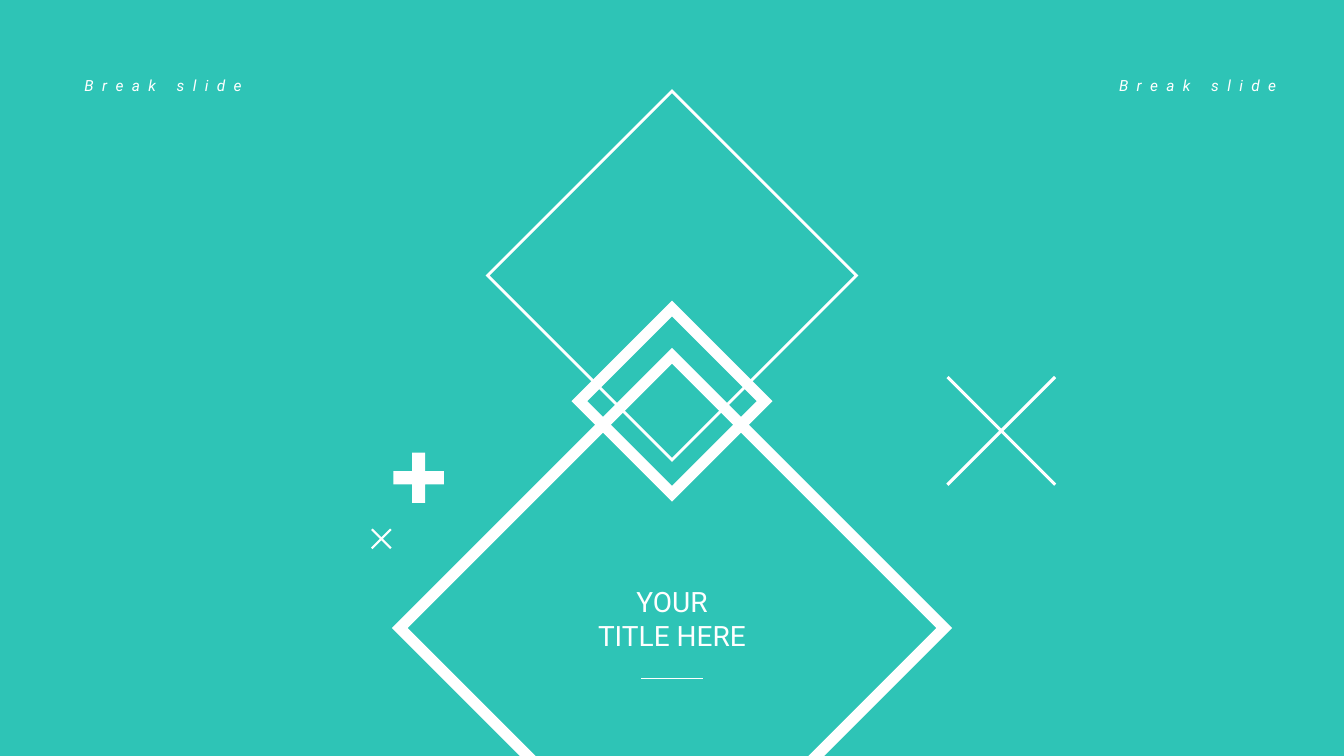
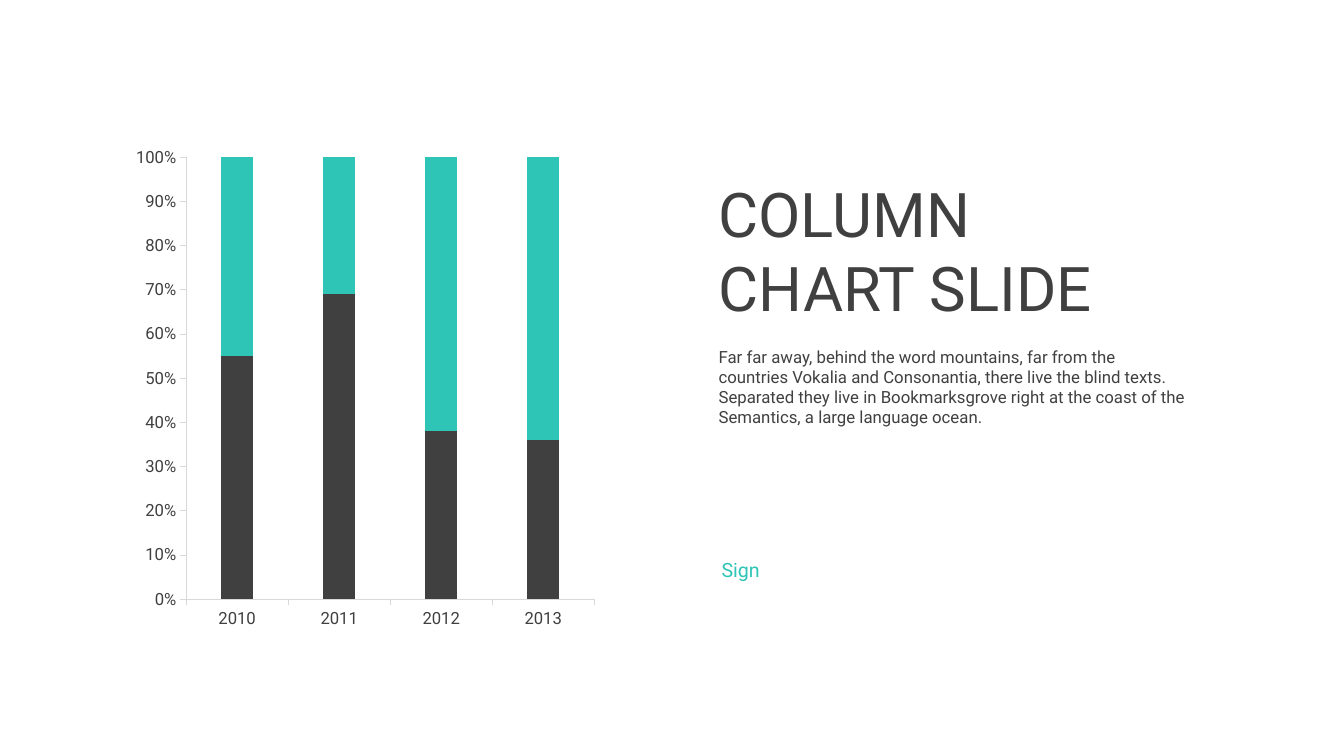
from lxml import etree
from pptx import Presentation
from pptx.chart.data import CategoryChartData
from pptx.dml.color import RGBColor
from pptx.enum.chart import XL_CHART_TYPE, XL_TICK_MARK
from pptx.enum.shapes import MSO_CONNECTOR, MSO_SHAPE
from pptx.enum.text import MSO_AUTO_SIZE, PP_ALIGN
from pptx.oxml import parse_xml
from pptx.oxml.ns import nsdecls, qn
from pptx.util import Inches, Pt

TEAL = RGBColor(0x2E, 0xC4, 0xB6)
WHITE = RGBColor(0xFF, 0xFF, 0xFF)
CHARCOAL = RGBColor(0x40, 0x40, 0x40)
PALE_GREY = RGBColor(0xD9, 0xD9, 0xD9)
FONT = "Roboto"
SLIDE_WIDTH, SLIDE_HEIGHT = Inches(13.333), Inches(7.5)

LEFT, CENTER, RIGHT = PP_ALIGN.LEFT, PP_ALIGN.CENTER, PP_ALIGN.RIGHT
RECTANGLE, CROSS = MSO_SHAPE.RECTANGLE, MSO_SHAPE.CROSS
STRAIGHT = MSO_CONNECTOR.STRAIGHT
FIT_SHAPE = MSO_AUTO_SIZE.SHAPE_TO_FIT_TEXT
STACKED_100 = XL_CHART_TYPE.COLUMN_STACKED_100
TICK_OUTSIDE = XL_TICK_MARK.OUTSIDE

TEXT_COLUMN = 52.73


def across(percent):
    return round(SLIDE_WIDTH * percent / 100)


def down(percent):
    return round(SLIDE_HEIGHT * percent / 100)


def area(left, top, width, height):
    """Turn percentages of the slide into a left, top, width, height frame."""
    return across(left), down(top), across(width), down(height)


def add_page(deck, color):
    page = deck.slides.add_slide(deck.slide_layouts[6])
    page.background.fill.solid()
    page.background.fill.fore_color.rgb = color
    return page


def style_font(font, size, color, italic=None):
    font.name = FONT
    font.size = Pt(size)
    font.color.rgb = color
    font.italic = italic


def add_text(page, frame, lines, size, color, align=LEFT, wrap=False,
             italic=None, spacing=0):
    """Add one paragraph per line; spacing is letter spacing in points."""
    box = page.shapes.add_textbox(*frame)
    text = box.text_frame
    text.word_wrap = wrap
    text.auto_size = FIT_SHAPE
    text.text = "\n".join(lines)
    for para in text.paragraphs:
        para.alignment = align
        style_font(para.font, size, color, italic)
        if spacing:
            for span in para.runs:
                span.font._element.set("spc", str(spacing * 100))


def add_centered(page, kind, center_x, center_y, size, rotation):
    """Add a shape as wide as high, size being a percentage of slide width."""
    side = across(size)
    shape = page.shapes.add_shape(kind, across(center_x) - side // 2,
                                  down(center_y) - side // 2, side, side)
    shape.rotation = rotation
    shape.shadow.inherit = False
    return shape


def add_diamond(page, center_y, size, weight):
    diamond = add_centered(page, RECTANGLE, 50, center_y, size, 45)
    diamond.fill.background()
    diamond.line.color.rgb = WHITE
    diamond.line.width = Pt(weight)
    outline = diamond.line._get_or_add_ln()
    etree.SubElement(outline, qn("a:miter")).set("lim", "800000")


def add_cross(page, center_x, center_y, size, inset, rotation=0):
    cross = add_centered(page, CROSS, center_x, center_y, size, rotation)
    cross.adjustments[0] = inset
    cross.fill.solid()
    cross.fill.fore_color.rgb = WHITE
    cross.line.fill.background()


def add_rule(page, start, end, top):
    rule = page.shapes.add_connector(STRAIGHT, across(start), down(top),
                                     across(end), down(top))
    rule.line.color.rgb = WHITE
    rule.line.width = Pt(0.5)
    etree.SubElement(rule._element.spPr, qn("a:effectLst"))


def style_axis(axis):
    axis.has_major_gridlines = False
    axis.major_tick_mark = TICK_OUTSIDE
    style_font(axis.tick_labels.font, 12, CHARCOAL)
    axis.format.line.color.rgb = PALE_GREY
    axis.format.line.width = Pt(0.75)


def place_plot(chart, x, y, w, h):
    """Fix the inner plot area, in shares of the chart's size."""
    shares = "".join(f'<c:{name} val="{value}"/>' for name, value
                     in (("x", x), ("y", y), ("w", w), ("h", h)))
    layout = parse_xml(
        f'<c:layout {nsdecls("c")}><c:manualLayout>'
        '<c:layoutTarget val="inner"/><c:xMode val="edge"/>'
        f'<c:yMode val="edge"/>{shares}</c:manualLayout></c:layout>')
    plot_area = chart._chartSpace.chart.plotArea
    for automatic in plot_area.findall(qn("c:layout")):
        plot_area.remove(automatic)
    plot_area.insert(0, layout)


def add_column_chart(page, frame, categories, series):
    """Add a 100% stacked chart from (name, values, color) series."""
    data = CategoryChartData()
    data.categories = categories
    for name, values, _ in series:
        data.add_series(name, values)
    chart = page.shapes.add_chart(STACKED_100, *frame, data).chart
    chart.has_title = False
    chart.has_legend = False
    style_font(chart.font, 12, CHARCOAL)
    plot = chart.plots[0]
    plot.vary_by_categories = False
    plot.gap_width = 219
    plot.overlap = 100
    for drawn, (_, _, color) in zip(plot.series, series):
        drawn.format.fill.solid()
        drawn.format.fill.fore_color.rgb = color
    style_axis(chart.category_axis)
    style_axis(chart.value_axis)
    labels = chart.value_axis.tick_labels
    labels.number_format = "0%"
    labels.number_format_is_linked = False
    place_plot(chart, 0.1, 0.045, 0.88, 0.855)


def build_break(deck):
    page = add_page(deck, TEAL)
    for center_y, size, weight in ((83.07, 28.65, 8), (53.07, 9.75, 8),
                                   (36.45, 19.4, 2)):
        add_diamond(page, center_y, size, weight)
    add_text(page, area(43.15, 76.67, 13.7, 10.27), ["YOUR", "TITLE HERE"],
             20, WHITE, CENTER)
    add_rule(page, 47.7, 52.3, 89.73)
    add_cross(page, 31.15, 63.2, 3.75, 0.37)
    add_cross(page, 74.5, 57, 11.33, 0.49, 45)
    add_cross(page, 28.37, 71.27, 2, 0.46, 45)
    for left, align in ((5.55, LEFT), (81.53, RIGHT)):
        add_text(page, area(left, 9.47, 14.18, 3.87), ["Break slide"],
                 11, WHITE, align, italic=True, spacing=6)


def build_chart(deck):
    page = add_page(deck, WHITE)
    add_column_chart(
        page, area(10.12, 17.73, 34.8, 68.4),
        ("2010", "2011", "2012", "2013"),
        (("Series 1", (55, 69, 38, 36), CHARCOAL),
         ("Series 2", (45, 31, 62, 64), TEAL)))
    add_text(page, area(TEXT_COLUMN, 22.67, 31.95, 21.07),
             ["COLUMN", "CHART SLIDE"], 44, CHARCOAL)
    add_text(page, area(TEXT_COLUMN, 45.2, 36.38, 12.13),
             ["Far far away, behind the word mountains, far from the "
              "countries Vokalia and Consonantia, there live the blind "
              "texts. Separated they live in Bookmarksgrove right at the "
              "coast of the Semantics, a large language ocean."],
             12, CHARCOAL, wrap=True)
    add_text(page, area(52.95, 73.2, 4.43, 4.53), ["Sign"], 14, TEAL)


def main():
    deck = Presentation()
    deck.slide_width, deck.slide_height = SLIDE_WIDTH, SLIDE_HEIGHT
    build_break(deck)
    build_chart(deck)
    deck.save("out.pptx")


if __name__ == "__main__":
    main()
